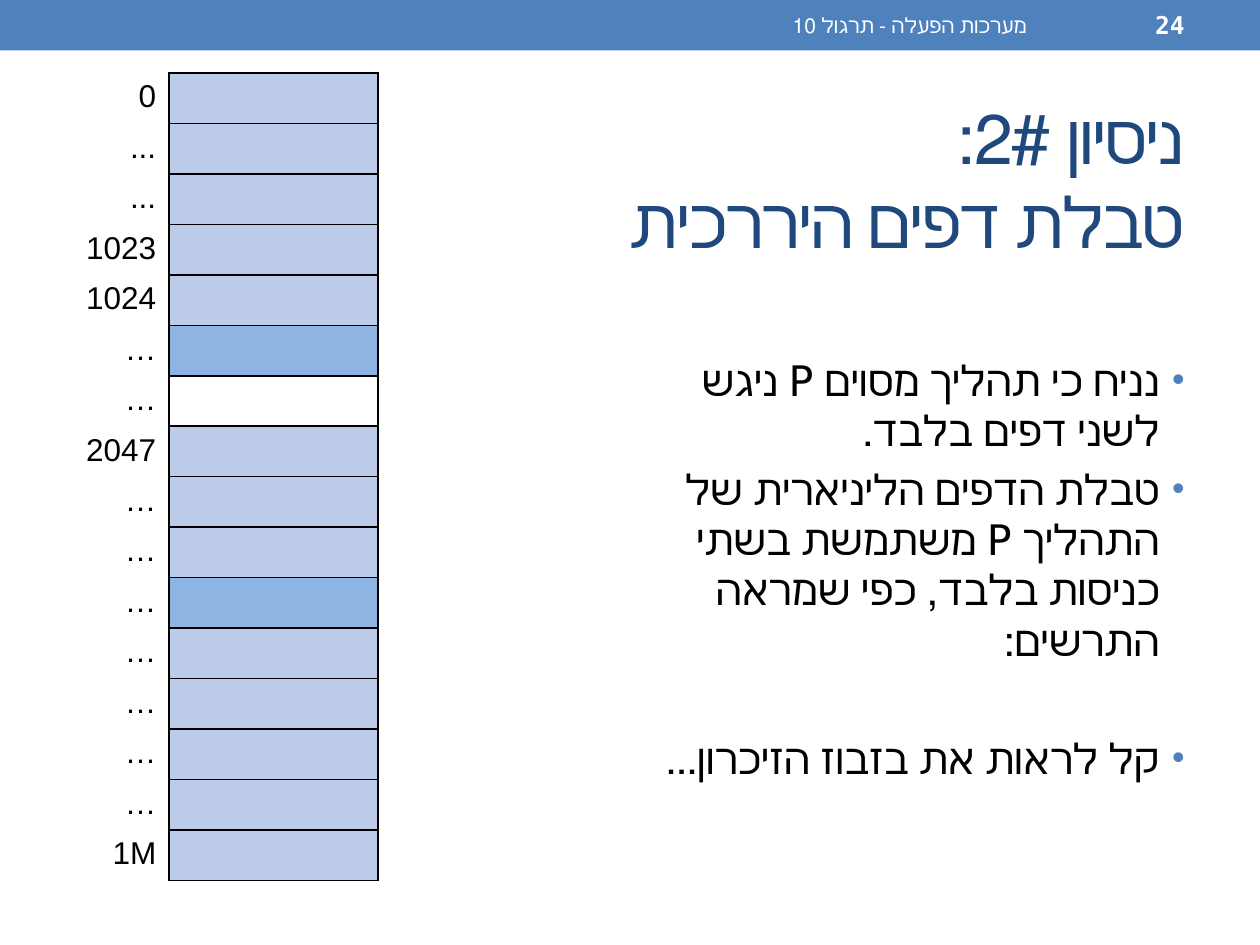
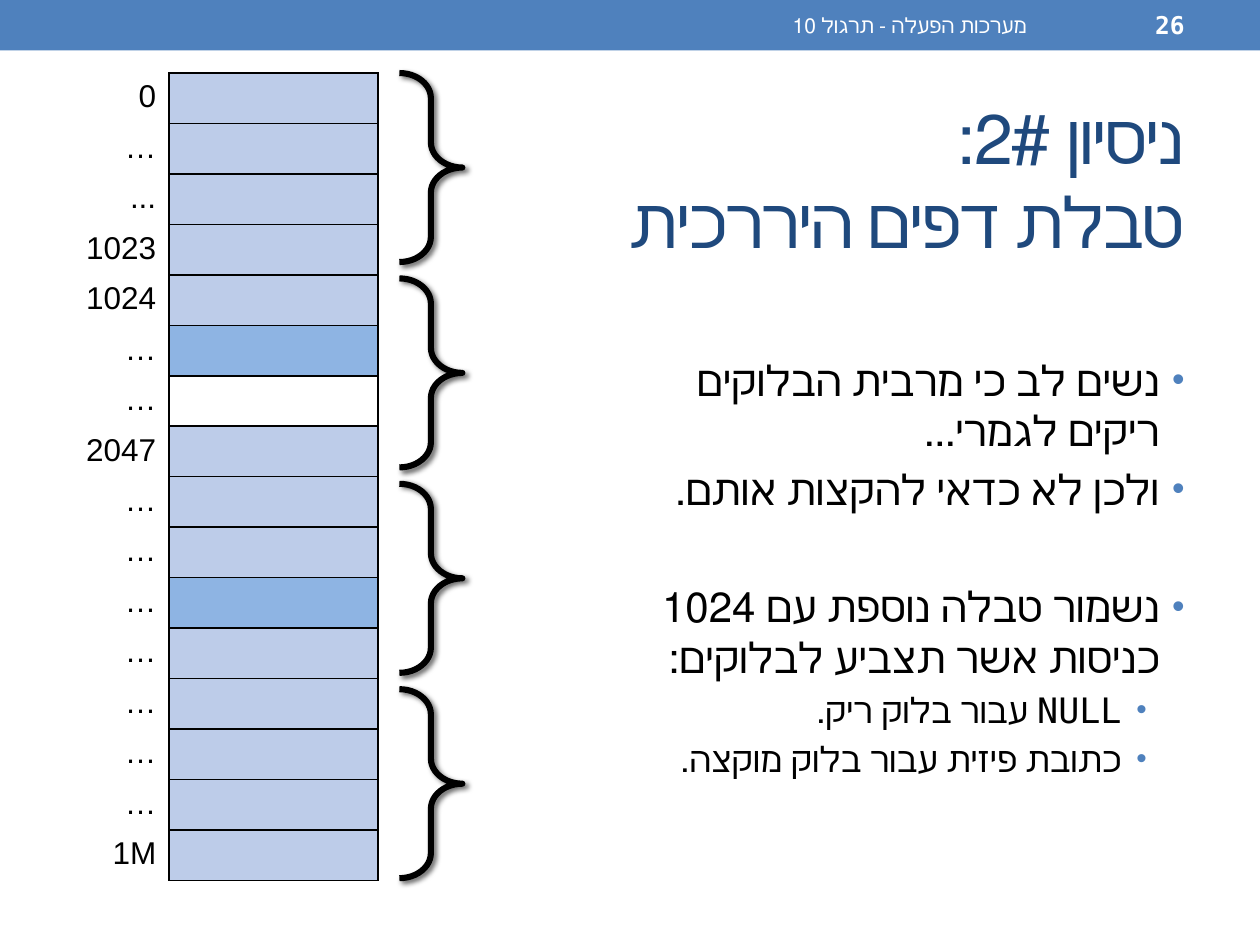
from lxml import etree
from pptx import Presentation
from pptx.dml.color import RGBColor
from pptx.enum.shapes import MSO_SHAPE
from pptx.enum.text import MSO_ANCHOR, PP_ALIGN
from pptx.oxml import parse_xml
from pptx.oxml.ns import nsdecls, qn
from pptx.util import Inches, Pt

RECTANGLE = MSO_SHAPE.RECTANGLE
RIGHT_BRACE = MSO_SHAPE.RIGHT_BRACE
MIDDLE = MSO_ANCHOR.MIDDLE
TOP = MSO_ANCHOR.TOP
RIGHT = PP_ALIGN.RIGHT

BLUE, NAVY, BLACK, WHITE = "4F81BD", "1F497D", "000000", "FFFFFF"
ENTRY, USED_ENTRY = "BDCCE9", "8EB4E3"
TEXT_FONT, TABLE_FONT = "DejaVu Sans Mono", "Arial"

TITLE = "ניסיון 2#:\vטבלת דפים היררכית"
FOOTER = "מערכות הפעלה - תרגול 10"
LABELS = ["0", "…", "...", "1023", "1024", "…", "…", "2047"] + ["…"] * 7 + ["1M"]
ENTRY_FILLS = {5: USED_ENTRY, 6: WHITE, 10: USED_ENTRY}

SLIDES = [
    {
        "number": "24",
        "labels": LABELS[:1] + ["..."] + LABELS[2:],
        "bullets": [
            (0, False, "נניח כי תהליך מסוים P ניגש לשני דפים בלבד."),
            (0, False, "טבלת הדפים הליניארית של התהליך P משתמשת בשתי כניסות בלבד, כפי שמראה התרשים:"),
            (0, True, "קל לראות את בזבוז הזיכרון..."),
        ],
        "blocks": 0,
    },
    {
        "number": "26",
        "labels": LABELS,
        "bullets": [
            (0, False, "נשים לב כי מרבית הבלוקים ריקים לגמרי..."),
            (0, False, "ולכן לא כדאי להקצות אותם."),
            (0, True, "נשמור טבלה נוספת עם 1024 כניסות אשר תצביע לבלוקים:"),
            (1, False, "NULL עבור בלוק ריק."),
            (1, False, "כתובת פיזית עבור בלוק מוקצה."),
        ],
        "blocks": 4,
    },
]

LEVELS = [{"size": 24, "indent": 0.2}, {"size": 20, "indent": 0.5}]
HANGING = 0.2
BLANK_LINE = 33.6
TABLE_LEFT, TABLE_TOP = 0.5, 0.58
COLUMN_WIDTHS = [0.84, 1.66]
ROW_HEIGHT = 6.3 / len(LABELS)
BRACE_LEFT, BRACE_WIDTH, BRACE_HEIGHT, BRACE_STEP = 3.17, 0.5, 1.5, 1.63


def color(value):
    return RGBColor.from_string(value)


def inches(*values):
    return [Inches(value) for value in values]


def set_attributes(target, values):
    for name, value in values.items():
        setattr(target, name, value)


def format_right_to_left(paragraph, size, fill, bold=False, spacing=None, digits_font=None):
    paragraph.alignment = RIGHT
    paragraph._p.get_or_add_pPr().set("rtl", "1")
    for run in paragraph.runs:
        set_attributes(run.font, {"name": TEXT_FONT, "size": Pt(size), "bold": bold})
        run.font.color.rgb = color(fill)
        properties = run._r.get_or_add_rPr()
        if digits_font:
            etree.SubElement(properties, qn("a:cs")).set("typeface", digits_font)
        if spacing:
            properties.set("spc", str(spacing))


def add_text_box(slide, place, anchor):
    frame = slide.shapes.add_textbox(*inches(*place)).text_frame
    set_attributes(frame, {"word_wrap": True, "vertical_anchor": anchor})
    return frame


def add_header(slide, number):
    band = slide.shapes.add_shape(RECTANGLE, *inches(0, 0, 10, 0.4))
    band.shadow.inherit = False
    band.fill.solid()
    band.fill.fore_color.rgb = color(BLUE)
    band.line.fill.background()
    for text, left, width, size, bold, digits_font in [
        (FOOTER, 3.75, 4.5, 12, False, None),
        (number, 8.33, 1.17, 14, True, TEXT_FONT),
    ]:
        frame = add_text_box(slide, (left, 0.02, width, 0.36), MIDDLE)
        frame.text = text
        format_right_to_left(
            frame.paragraphs[0], size, WHITE, bold, digits_font=digits_font
        )


def add_title(slide):
    title = slide.shapes.title
    left, top, width, height = inches(0.5, 0.58, 9, 1.68)
    set_attributes(title, {"left": left, "top": top, "width": width, "height": height})
    title.text_frame.text = TITLE
    title.text_frame.vertical_anchor = MIDDLE
    format_right_to_left(title.text_frame.paragraphs[0], 40, NAVY, spacing=-100)


def add_bullets(slide, bullets):
    frame = add_text_box(slide, (5.08, 1.83, 4.42, 5.16), TOP)
    frame.margin_top = Inches(0.98)
    for index, (level, gap, text) in enumerate(bullets):
        paragraph = frame.add_paragraph() if index else frame.paragraphs[0]
        size, indent = LEVELS[level]["size"], LEVELS[level]["indent"]
        before = size * 0.2 + (BLANK_LINE if gap else 0) if index else 0
        set_attributes(paragraph, {"text": text, "level": level, "space_before": Pt(before)})
        format_right_to_left(paragraph, size, BLACK)
        properties = paragraph._p.get_or_add_pPr()
        properties.set("marL", str(Inches(indent)))
        properties.set("indent", str(-Inches(HANGING)))
        bullet_color = etree.SubElement(properties, qn("a:buClr"))
        etree.SubElement(bullet_color, qn("a:srgbClr")).set("val", BLUE)
        etree.SubElement(properties, qn("a:buSzPct")).set("val", "85000")
        etree.SubElement(properties, qn("a:buFont")).set("typeface", "Arial")
        etree.SubElement(properties, qn("a:buChar")).set("char", "•")


def format_cell(cell, fill, sides):
    cell.fill.solid()
    cell.fill.fore_color.rgb = color(fill)
    properties = cell._tc.get_or_add_tcPr()
    for index, side in enumerate("LRTB"):
        paint = (
            f'<a:solidFill><a:srgbClr val="{BLACK}"/></a:solidFill>'
            if side in sides else "<a:noFill/>"
        )
        border = f'<a:ln{side} {nsdecls("a")} w="{Pt(1)}">{paint}</a:ln{side}>'
        properties.insert(index, parse_xml(border))


def add_page_table(slide, labels):
    place = inches(TABLE_LEFT, TABLE_TOP, sum(COLUMN_WIDTHS), ROW_HEIGHT * len(labels))
    table = slide.shapes.add_table(len(labels), len(COLUMN_WIDTHS), *place).table
    set_attributes(table, {"first_row": False, "horz_banding": False})
    for column, width in zip(table.columns, COLUMN_WIDTHS):
        column.width = Inches(width)
    for index, label in enumerate(labels):
        table.rows[index].height = Inches(ROW_HEIGHT)
        label_cell, entry_cell = table.cell(index, 0), table.cell(index, 1)
        label_cell.text = label
        paragraph = label_cell.text_frame.paragraphs[0]
        paragraph.alignment = RIGHT
        set_attributes(paragraph.runs[0].font, {"name": TABLE_FONT, "size": Pt(18)})
        paragraph.runs[0].font.color.rgb = color(BLACK)
        set_attributes(entry_cell, {"margin_top": 0, "margin_bottom": 0})
        format_cell(label_cell, WHITE, "R")
        format_cell(entry_cell, ENTRY_FILLS.get(index, ENTRY), "LRTB")


def add_block_braces(slide, count):
    for index in range(count):
        top = TABLE_TOP + index * BRACE_STEP
        brace = slide.shapes.add_shape(
            RIGHT_BRACE, *inches(BRACE_LEFT, top, BRACE_WIDTH, BRACE_HEIGHT)
        )
        brace.adjustments[0] = 0.4
        brace.adjustments[1] = 0.5
        brace.fill.background()
        brace.line.color.rgb = color(BLACK)
        brace.line.width = Pt(3.5)
        brace.shadow.inherit = False
        effects = brace._element.spPr.find(qn("a:effectLst"))
        effects.append(parse_xml(
            f'<a:outerShdw {nsdecls("a")} blurRad="{Pt(3)}" dist="{Pt(2)}" dir="2700000">'
            f'<a:srgbClr val="{BLACK}"><a:alpha val="60000"/></a:srgbClr></a:outerShdw>'
        ))


def main():
    presentation = Presentation()
    presentation.slide_width, presentation.slide_height = inches(10, 7.5)
    for content in SLIDES:
        slide = presentation.slides.add_slide(presentation.slide_layouts[5])
        add_header(slide, content["number"])
        add_title(slide)
        add_bullets(slide, content["bullets"])
        add_page_table(slide, content["labels"])
        add_block_braces(slide, content["blocks"])
    presentation.save("out.pptx")


if __name__ == "__main__":
    main()
